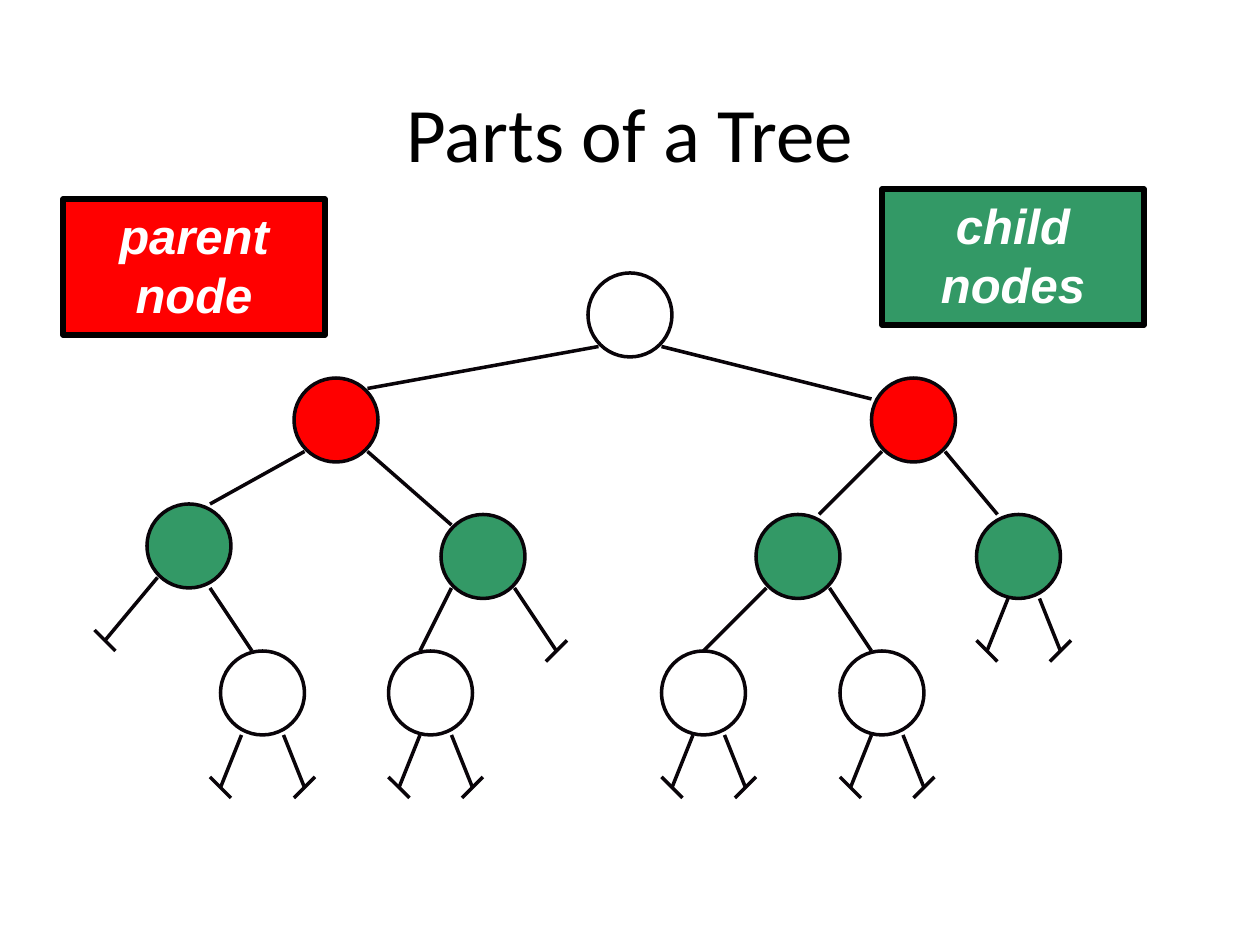
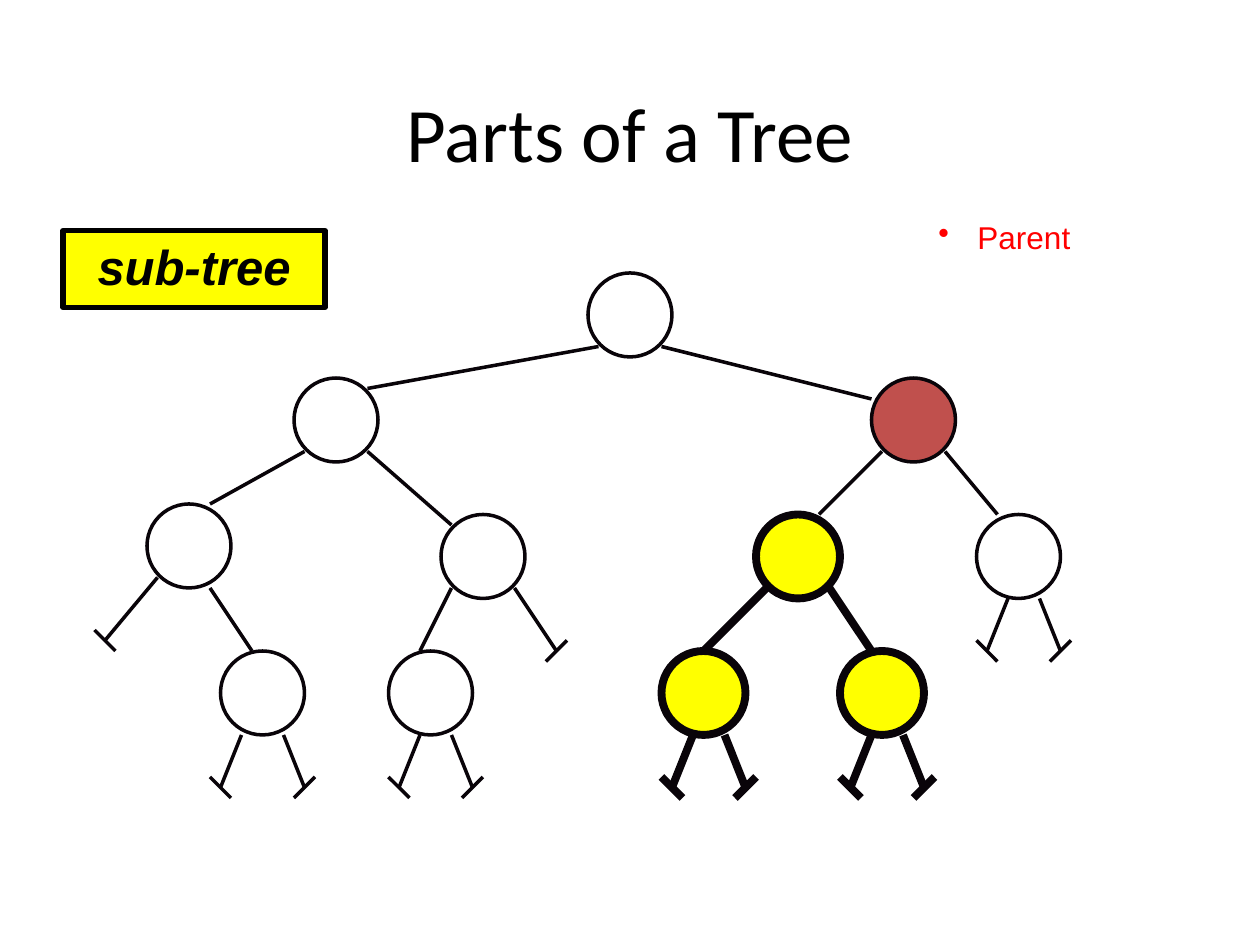
from dataclasses import dataclass

from lxml import etree
from pptx import Presentation
from pptx.dml.color import RGBColor
from pptx.enum.shapes import MSO_CONNECTOR, MSO_SHAPE
from pptx.enum.text import MSO_ANCHOR, PP_ALIGN
from pptx.oxml.ns import qn
from pptx.util import Inches, Pt

STRAIGHT = MSO_CONNECTOR.STRAIGHT
OVAL, RECT = MSO_SHAPE.OVAL, MSO_SHAPE.RECTANGLE
TOP, MIDDLE = MSO_ANCHOR.TOP, MSO_ANCHOR.MIDDLE
LEFT, CENTER = PP_ALIGN.LEFT, PP_ALIGN.CENTER


@dataclass(frozen=True)
class Theme:
    ink: str = "090409"
    black: str = "000000"
    white: str = "FFFFFF"
    red: str = "FF0000"
    green: str = "339966"
    yellow: str = "FFFF00"
    brick: str = "C0504D"
    title_font: str = "Calibri"
    body_font: str = "Arial"
    title_size: float = 44
    label_size: float = 28
    note_size: float = 18
    thin: float = 2
    border: float = 3
    thick: float = 4.5


T = Theme()
GRID = 12
NODE = 8 / GRID


def write(sp, text, font=T.body_font, size=T.label_size, color=T.black,
          bold=False, italic=False, align=CENTER, anchor=TOP, wrap=True,
          bullet=None, indent=0.31):
    tf = sp.text_frame
    tf.word_wrap = wrap
    tf.vertical_anchor = anchor
    p = tf.paragraphs[0]
    p.alignment = align
    if bullet:
        pPr = p._p.get_or_add_pPr()
        pPr.set("marL", str(Inches(indent)))
        pPr.set("indent", str(-Inches(indent)))
        etree.SubElement(pPr, qn("a:buChar")).set("char", bullet)
    r = p.add_run()
    r.text = text
    r.font.name, r.font.size = font, Pt(size)
    r.font.bold, r.font.italic = bold, italic
    r.font.color.rgb = RGBColor.from_string(color)


def add_line(s, start, end, width):
    points = [Inches(v / GRID) for v in (*start, *end)]
    line = s.shapes.add_connector(STRAIGHT, *points)
    line.line.color.rgb = RGBColor.from_string(T.ink)
    line.line.width = Pt(width)
    etree.SubElement(line._element.spPr, qn("a:effectLst"))


# name: corner, then start and end of the left and right branches, in grid units
nodes = {
    "root": ((56, 26), ((57, 33), (35, 37)), ((63, 33), (83, 38))),
    "L": ((28, 36), ((29, 43), (20, 48)), ((35, 43), (43, 50))),
    "R": ((83, 36), ((84, 43), (78, 49)), ((90, 43), (95, 49))),
    "LL": ((14, 48), ((15, 55), (10, 61)), ((20, 56), (24, 62))),
    "LR": ((42, 49), ((43, 56), (40, 62)), ((49, 56), (53, 62))),
    "RL": ((72, 49), ((73, 56), (67, 62)), ((79, 56), (83, 62))),
}
leaves = {"LLR": (21, 62, 2), "LRL": (37, 62, 3), "RLL": (63, 62, 3),
          "RLR": (80, 62, 3), "RR": (93, 49, 3)}
for name, (x, y, inset) in leaves.items():
    left, right, base = x + inset, x + 6, y + 8
    nodes[name] = ((x, y), ((left, base), (left - 2, base + 5)),
                   ((right, base), (right + 2, base + 5)))

slides = [
    {
        "fills": {"L": T.red, "R": T.red, "LL": T.green, "LR": T.green,
                  "RL": T.green, "RR": T.green},
        "heavy": (),
        "labels": [("child nodes", 7, 1.5, 1.08, T.green, T.white),
                   ("parent node", 0.5, 1.58, 1.08, T.red, T.white)],
        "note": None,
    },
    {
        "fills": {"R": T.brick, "RL": T.yellow, "RLL": T.yellow, "RLR": T.yellow},
        "heavy": ("RL", "RLL", "RLR"),
        "labels": [("sub-tree", 0.5, 1.83, 0.61, T.yellow, T.black)],
        "note": "Parent",
    },
]

prs = Presentation()
prs.slide_width, prs.slide_height = Inches(10), Inches(7.5)

for slide in slides:
    s = prs.slides.add_slide(prs.slide_layouts[6])
    title = s.shapes.add_textbox(Inches(0.75), Inches(0.42), Inches(8.5), Inches(1.25))
    write(title, "Parts of a Tree", font=T.title_font, size=T.title_size, anchor=MIDDLE)

    for name, ((x, y), *branches) in nodes.items():
        width = T.thick if name in slide["heavy"] else T.thin
        sp = s.shapes.add_shape(OVAL, Inches(x / GRID), Inches(y / GRID),
                                Inches(NODE), Inches(NODE))
        sp.shadow.inherit = False
        sp.line.color.rgb = RGBColor.from_string(T.ink)
        sp.line.width = Pt(width)
        if name in slide["fills"]:
            sp.fill.solid()
            sp.fill.fore_color.rgb = RGBColor.from_string(slide["fills"][name])
        else:
            sp.fill.background()

        for side, slope, (start, end) in zip("LR", (1, -1), branches):
            add_line(s, start, end, width)
            if name + side not in nodes and name != "root":
                ex, ey = end
                add_line(s, (ex - 1, ey - slope), (ex + 1, ey + slope), width)

    for text, x, y, height, fill, color in slide["labels"]:
        sp = s.shapes.add_shape(RECT, Inches(x), Inches(y), Inches(2.08), Inches(height))
        sp.shadow.inherit = False
        sp.fill.solid()
        sp.fill.fore_color.rgb = RGBColor.from_string(fill)
        sp.line.color.rgb = RGBColor.from_string(T.black)
        sp.line.width = Pt(T.border)
        write(sp, text, color=color, bold=True, italic=True)

    if slide["note"]:
        note = s.shapes.add_textbox(Inches(7.35), Inches(1.68), Inches(1.26), Inches(0.4))
        write(note, slide["note"], size=T.note_size, color=T.red, align=LEFT,
              wrap=False, bullet="•")

prs.save("out.pptx")
